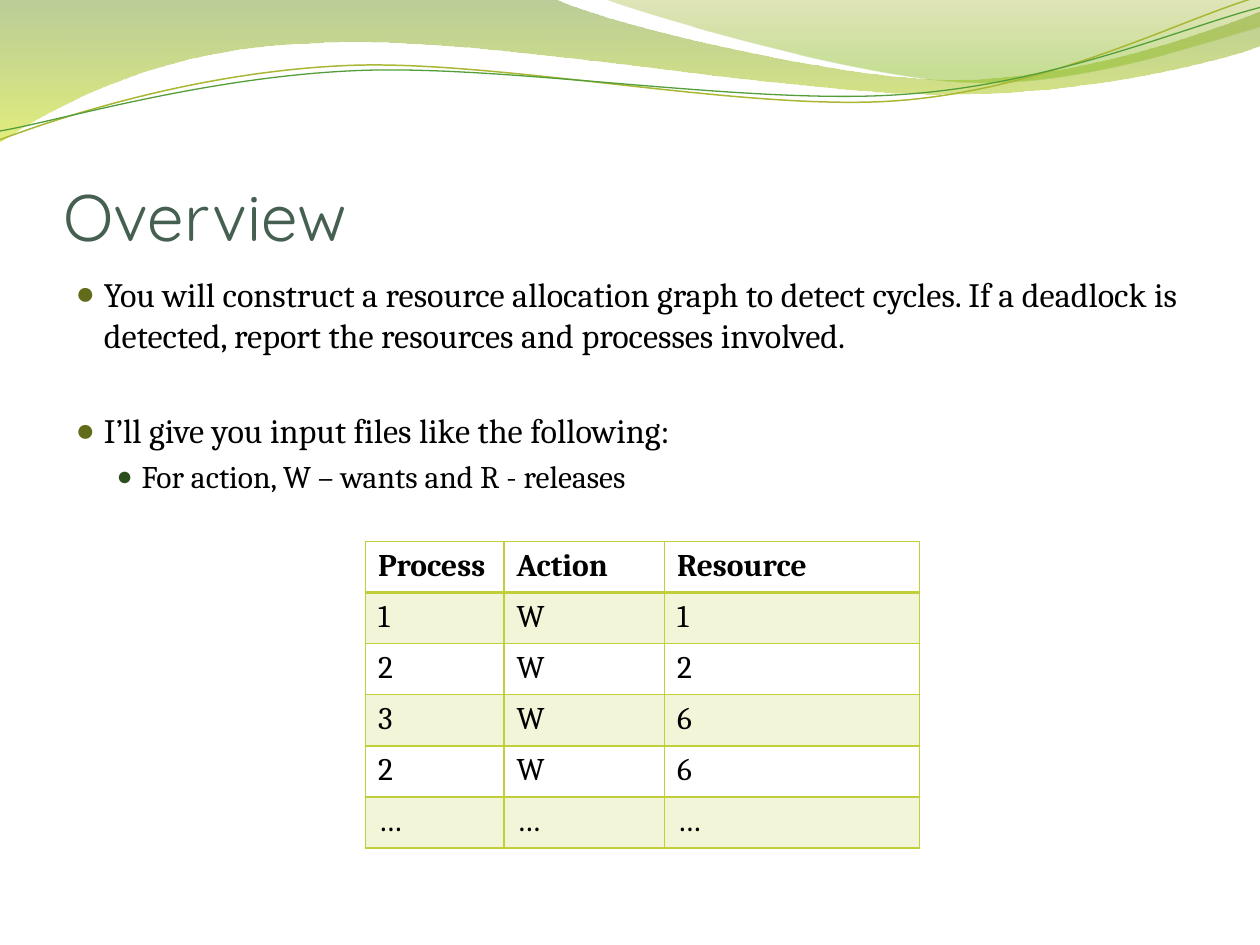
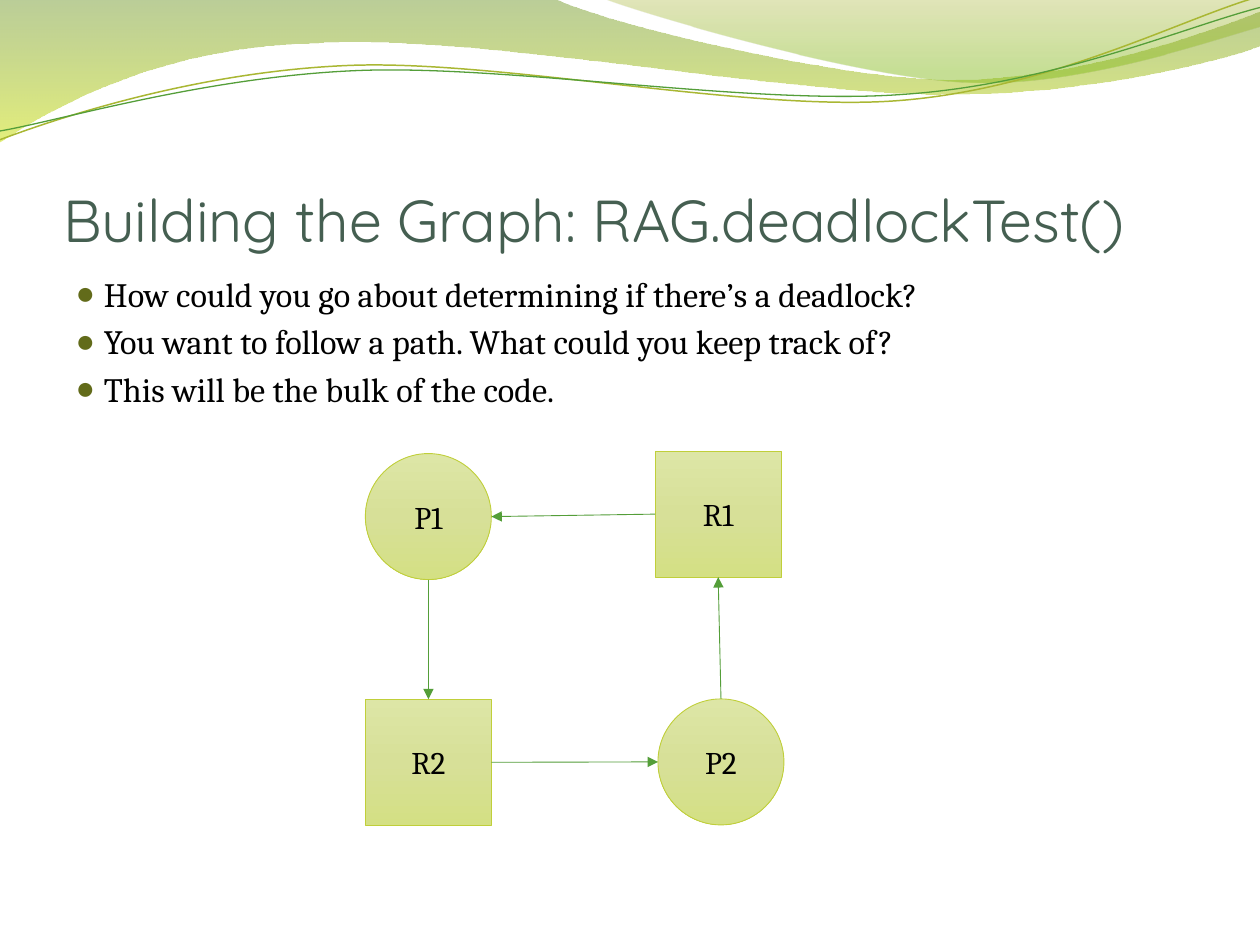
from lxml import etree
from pptx import Presentation
from pptx.dml.color import RGBColor
from pptx.enum.shapes import MSO_CONNECTOR, MSO_SHAPE
from pptx.enum.text import MSO_ANCHOR, MSO_AUTO_SIZE, PP_ALIGN
from pptx.oxml import parse_xml
from pptx.oxml.ns import nsdecls, qn
from pptx.util import Pt

TITLE_FONT, BODY_FONT = "Quicksand", "Cambria"
SLATE, BLACK, LIME, GREEN, OLIVE = "455F51", "000000", "C0CF3A", "549E39", "A9B733"
STRIPE = "F2F5D8"
TITLE_BOX = (36, 55.4, 648, 90)
BODY_BOX = (36, 152.6, 648, 345.6)

# Gradient stops: position, colour, opacity (all but colour in percent)
NODE_GRADIENT = [(0, "DDE6A6", 100), (50, "D7E098", 100), (100, "D4E084", 100)]

# Wave outlines: a pair is a straight step, six numbers are a Bezier curve
BANDS = [
    ((0, 0),
     [(316.8, -0.7), (342, 12.2, 477.4, 45.4, 545.8, 45.4),
      (614.2, 45.4, 689.8, 18.7, 720, 6.5), (720.7, 25.9),
      (707.8, 31.7, 625.7, 54.7, 537.1, 54),
      (447.8, 54, 274.3, 20.2, 185, 24.5), (92.9, 25.9, 33.1, 59.8, -0.7, 81.4),
      (0, 0)],
     [(0, "69921C", 45), (100, "CCE10F", 55)]),
    ((344.9, -0.7),
     [(366.5, 7.9, 491, 44.6, 553, 46.8), (615.6, 49.7, 691.9, 23, 720, 15.1),
      (720, 0), (344.9, -0.7)],
     [(0, "9BAA1A", 30), (80, "81BA16", 45)]),
]
STRANDS = [
    ((-1.4, 62.9),
     [(33.7, 51.6, 113.3, 29.4, 199.1, 29.9), (284.8, 30.3, 425.1, 67.2, 511.7, 64.8),
      (599, 62.4, 676.4, 25.7, 719.5, 15.5)],
     OLIVE, 0.85),
    ((-1.2, 57.9),
     [(33, 53.7, 117.6, 32.5, 204, 33), (289.8, 33.4, 428.9, 63.8, 515.5, 61.3),
      (601.3, 59.6, 678.5, 30.1, 721.4, 21.3)],
     GREEN, 0.75),
]
STRAND_TILT = -2.7

# Per list level: indent, hanging, text size, bullet colour, bullet percent
LEVELS = [(16.2, 16.2, 19.5, "626B1A", 95), (37.8, 14.4, 18, "2A4F1C", 85)]
ITEM_GAP, SECTION_GAP = 3.6, 31

# List items: level, space before, text
OVERVIEW = [
    (0, 0, "You will construct a resource allocation graph to detect cycles. "
           "If a deadlock is detected, report the resources and processes involved."),
    (0, SECTION_GAP, "I’ll give you input files like the following:"),
    (1, ITEM_GAP, "For action, W – wants and R - releases"),
]
BUILDING = [
    (0, 0, "How could you go about determining if there’s a deadlock?"),
    (0, ITEM_GAP, "You want to follow a path. What could you keep track of?"),
    (0, ITEM_GAP, "This will be the bulk of the code."),
]

REQUESTS = [
    ("Process", "Action", "Resource"),
    ("1", "W", "1"),
    ("2", "W", "2"),
    ("3", "W", "6"),
    ("2", "W", "6"),
    ("…", "…", "…"),
]
REQUEST_WIDTHS = (79.2, 91.8, 145.6)
REQUEST_LEFT, REQUEST_TOP, ROW_HEIGHT = 208.8, 309.4, 29.2

NODE_SIZE = 72
NODES = {
    "P1": (MSO_SHAPE.OVAL, 208.8, 259.2),
    "R1": (MSO_SHAPE.RECTANGLE, 374.4, 257.8),
    "R2": (MSO_SHAPE.RECTANGLE, 208.8, 399.6),
    "P2": (MSO_SHAPE.OVAL, 376, 399.4),
}
SIDES = {"left": (0, 0.5), "right": (1, 0.5), "top": (0.5, 0), "bottom": (0.5, 1)}
EDGES = [
    ("R1", "left", "P1", "right"),
    ("P1", "bottom", "R2", "top"),
    ("R2", "right", "P2", "left"),
    ("P2", "top", "R1", "bottom"),
]


def color(value):
    return RGBColor.from_string(value)


def points(values):
    return [Pt(value) for value in values]


def format_runs(paragraph, size, font=BODY_FONT, tone=BLACK, bold=False):
    for span in paragraph.runs:
        span.font.name = font
        span.font.size = Pt(size)
        span.font.color.rgb = color(tone)
        span.font.bold = bold


def set_line(shape, tone, width):
    shape.line.color.rgb = color(tone)
    shape.line.width = Pt(width)


def fill_gradient(shape, stops):
    """Fill from top to bottom, with an opacity for each stop."""
    shape.fill.background()
    stop_xml = "".join(
        f'<a:gs pos="{position * 1000}"><a:srgbClr val="{tone}">'
        f'<a:alpha val="{opacity * 1000}"/></a:srgbClr></a:gs>'
        for position, tone, opacity in stops)
    gradient = parse_xml(
        f'<a:gradFill {nsdecls("a")} rotWithShape="1"><a:gsLst>{stop_xml}</a:gsLst>'
        '<a:lin ang="5400000" scaled="0"/></a:gradFill>')
    properties = shape.element.spPr
    properties.replace(properties.find(qn("a:noFill")), gradient)


def add_outline(page, start, steps, close):
    """Lay a straight step through every point, then join threes into curves."""
    vertices = [points(step[index:index + 2])
                for step in steps for index in range(0, len(step), 2)]
    builder = page.shapes.build_freeform(*points(start))
    builder.add_line_segments(vertices, close=close)
    shape = builder.convert_to_shape()
    shape.shadow.inherit = False
    straight = iter(list(shape.element.spPr.iter(qn("a:lnTo"))))
    for step in steps:
        first = next(straight)
        if len(step) == 6:
            first.tag = qn("a:cubicBezTo")
            for _ in range(2):
                extra = next(straight)
                first.append(extra[0])
                extra.getparent().remove(extra)
    return shape


def add_waves(page):
    """Draw the waves once and hand them to the layout, behind its placeholders."""
    waves = []
    for start, steps, stops in BANDS:
        band = add_outline(page, start, steps, close=True)
        fill_gradient(band, stops)
        band.line.fill.background()
        waves.append(band)
    for start, steps, tone, width in STRANDS:
        strand = add_outline(page, start, steps, close=False)
        strand.rotation = STRAND_TILT
        strand.fill.background()
        set_line(strand, tone, width)
        waves.append(strand)
    for index, wave in enumerate(waves):
        wave.element.nvSpPr.cNvPr.set("id", str(20 + index))
        page.slide_layout.shapes.element.insert(2 + index, wave.element)


def place(box, bounds):
    box.left, box.top, box.width, box.height = points(bounds)
    box.text_frame.auto_size = MSO_AUTO_SIZE.NONE


def set_bullet(paragraph, level):
    indent, hanging, size, tone, percent = LEVELS[level]
    properties = paragraph._p.get_or_add_pPr()
    properties.set("marL", str(Pt(indent)))
    properties.set("indent", str(-Pt(hanging)))
    tint = etree.SubElement(properties, qn("a:buClr"))
    etree.SubElement(tint, qn("a:srgbClr"), val=tone)
    etree.SubElement(properties, qn("a:buSzPct"), val=str(percent * 1000))
    etree.SubElement(properties, qn("a:buFont"), typeface="Arial")
    etree.SubElement(properties, qn("a:buChar"), char="●")


def add_page(deck, title, title_size, items):
    page = deck.slides.add_slide(deck.slide_layouts[1])
    heading, body = page.shapes.title, page.placeholders[1]
    place(heading, TITLE_BOX)
    frame = heading.text_frame
    frame.text = title
    frame.margin_left = frame.margin_right = frame.margin_bottom = 0
    frame.vertical_anchor = MSO_ANCHOR.BOTTOM
    frame.paragraphs[0].alignment = PP_ALIGN.LEFT
    format_runs(frame.paragraphs[0], title_size, TITLE_FONT, SLATE)

    place(body, BODY_BOX)
    body.text_frame.text = "\n".join(text for _, _, text in items)
    for paragraph, (level, gap, _) in zip(body.text_frame.paragraphs, items):
        paragraph.level = level
        set_bullet(paragraph, level)
        paragraph.space_before = Pt(gap)
        format_runs(paragraph, LEVELS[level][2])
    return page


def set_borders(cell, widths):
    properties = cell._tc.get_or_add_tcPr()
    for side, width in widths.items():
        properties.append(parse_xml(
            f'<a:ln{side} {nsdecls("a")} w="{Pt(width)}"><a:solidFill>'
            f'<a:srgbClr val="{LIME}"/></a:solidFill></a:ln{side}>'))


def add_requests(page):
    bounds = (REQUEST_LEFT, REQUEST_TOP, sum(REQUEST_WIDTHS), ROW_HEIGHT * len(REQUESTS))
    table = page.shapes.add_table(len(REQUESTS), len(REQUEST_WIDTHS), *points(bounds)).table
    table.first_row = table.horz_banding = False
    for column, width in zip(table.columns, REQUEST_WIDTHS):
        column.width = Pt(width)
    for number, values in enumerate(REQUESTS):
        table.rows[number].height = Pt(ROW_HEIGHT)
        for column, value in enumerate(values):
            cell = table.cell(number, column)
            cell.text = value
            format_runs(cell.text_frame.paragraphs[0], 18, bold=number == 0)
            set_borders(cell, {"L": 1, "R": 1, "T": 2 if number == 1 else 1,
                               "B": 2 if number == 0 else 1})
            if number % 2:
                cell.fill.solid()
                cell.fill.fore_color.rgb = color(STRIPE)
            else:
                cell.fill.background()


def add_node(page, name):
    kind, left, top = NODES[name]
    node = page.shapes.add_shape(kind, *points((left, top, NODE_SIZE, NODE_SIZE)))
    node.shadow.inherit = False
    fill_gradient(node, NODE_GRADIENT)
    set_line(node, LIME, 0.5)
    node.text_frame.text = name
    node.text_frame.vertical_anchor = MSO_ANCHOR.MIDDLE
    label = node.text_frame.paragraphs[0]
    label.alignment = PP_ALIGN.CENTER
    format_runs(label, 18)


def side_point(name, side):
    _, left, top = NODES[name]
    across, down = SIDES[side]
    return left + across * NODE_SIZE, top + down * NODE_SIZE


def add_arrow(page, start, end):
    arrow = page.shapes.add_connector(MSO_CONNECTOR.STRAIGHT, *points(start + end))
    set_line(arrow, GREEN, 0.5)
    etree.SubElement(arrow.line._get_or_add_ln(), qn("a:tailEnd"), type="triangle")
    etree.SubElement(arrow.element.spPr, qn("a:effectLst"))


def main():
    deck = Presentation()
    deck.slide_width, deck.slide_height = Pt(720), Pt(540)

    overview = add_page(deck, "Overview", 37.5, OVERVIEW)
    add_waves(overview)
    add_requests(overview)

    building = add_page(deck, "Building the Graph: RAG.deadlockTest()", 33.75, BUILDING)
    for name in NODES:
        add_node(building, name)
    for source, source_side, target, target_side in EDGES:
        add_arrow(building, side_point(source, source_side), side_point(target, target_side))

    deck.save("out.pptx")


if __name__ == "__main__":
    main()
